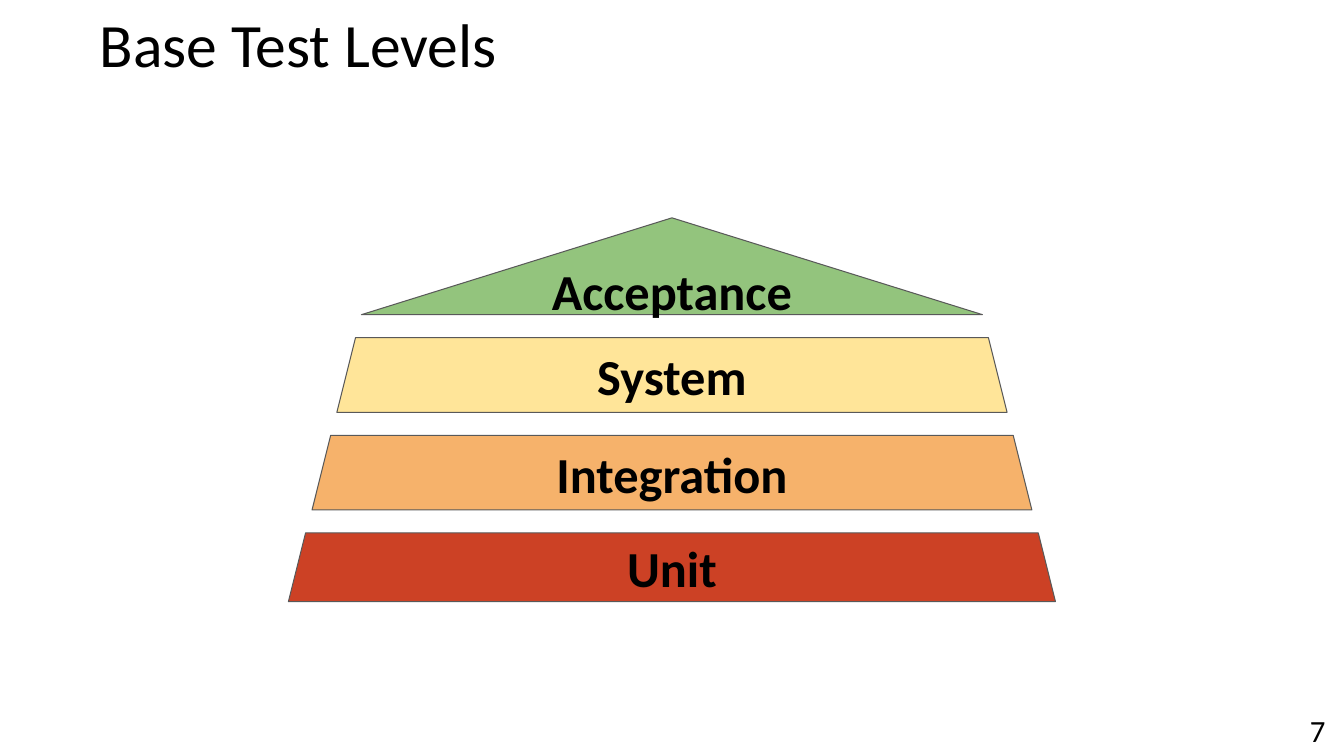
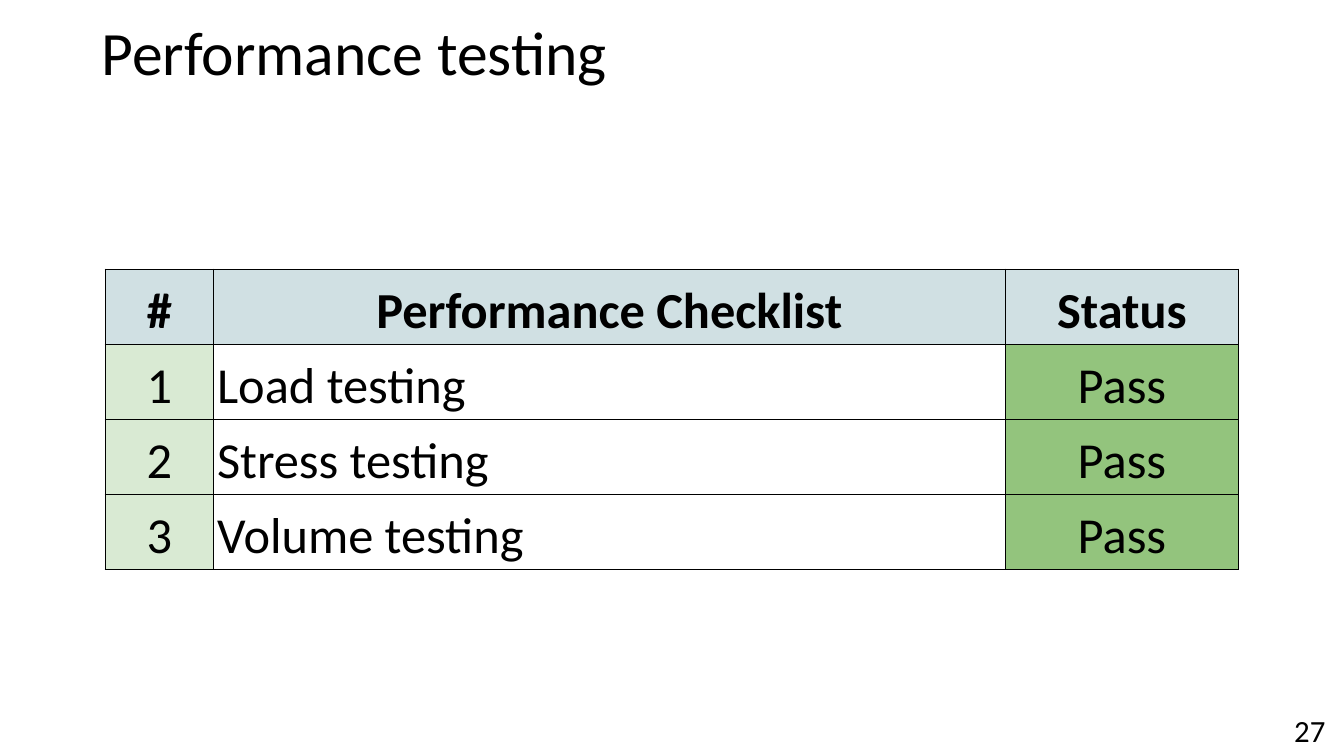
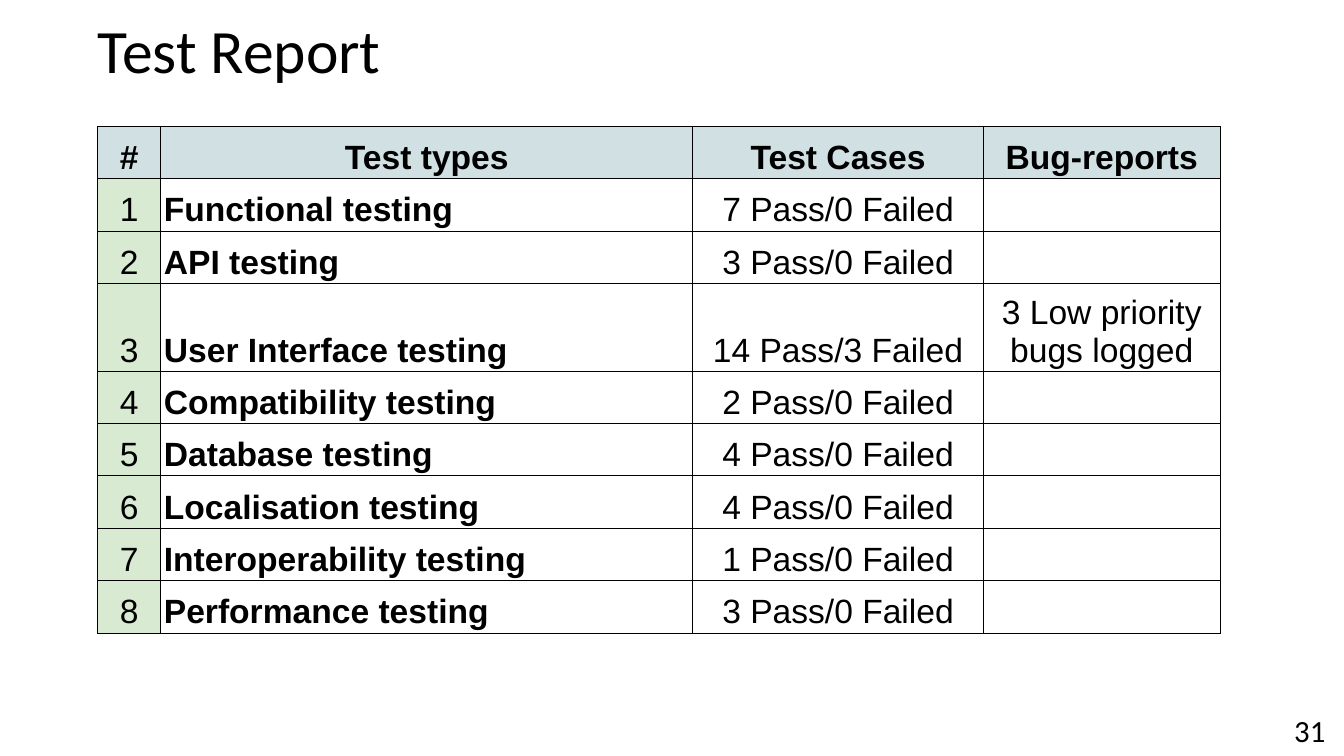
from lxml import etree
from pptx import Presentation
from pptx.dml.color import RGBColor
from pptx.enum.shapes import MSO_SHAPE as Preset
from pptx.enum.text import MSO_ANCHOR as Anchor, MSO_AUTO_SIZE as AutoSize, PP_ALIGN as Align
from pptx.oxml.ns import qn
from pptx.util import Cm, Pt

BLACK, OUTLINE = "000000", "595959"
GREEN, PALE_GREEN, PALE_BLUE = "93C47D", "D9EAD3", "D0E0E3"
SLIDE_WIDTH, SLIDE_HEIGHT = 33.87, 19.05

# From the top of the pyramid down: label, preset, fill, width, height
LEVELS = [
    ("Acceptance", Preset.ISOSCELES_TRIANGLE, GREEN, 15.65, 2.44),
    ("System", Preset.TRAPEZOID, "FFE599", 16.89, 1.88),
    ("Integration", Preset.TRAPEZOID, "F6B26B", 18.14, 1.88),
    ("Unit", Preset.TRAPEZOID, "CC4125", 19.33, 1.73),
]
PYRAMID_TOP, PYRAMID_GAP = 5.49, 0.58

# Columns: heading, width, alignment, bold, fill, line spacing
CHECK_COLUMNS = [
    ("#", 2.74, Align.CENTER, False, PALE_GREEN, 1.15),
    ("Performance Checklist", 19.94, Align.LEFT, False, None, 1.15),
    ("Status", 5.89, Align.CENTER, False, GREEN, 1.15),
]
CHECKS = [
    ("1", "Load testing", "Pass"),
    ("2", "Stress testing", "Pass"),
    ("3", "Volume testing", "Pass"),
]

REPORT_COLUMNS = [
    ("#", 1.59, Align.CENTER, False, PALE_GREEN, 1),
    ("Test types", 13.41, Align.LEFT, True, None, 1.15),
    ("Test Cases", 7.32, Align.CENTER, False, None, 1.15),
    ("Bug-reports", 5.97, Align.CENTER, False, None, 1),
]
REPORT = [
    ("1", "Functional testing", "7 Pass/0 Failed", ""),
    ("2", "API testing", "3 Pass/0 Failed", ""),
    ("3", "User Interface testing", "14 Pass/3 Failed", "3 Low priority bugs logged"),
    ("4", "Compatibility testing", "2 Pass/0 Failed", ""),
    ("5", "Database testing", "4 Pass/0 Failed", ""),
    ("6", "Localisation testing", "4 Pass/0 Failed", ""),
    ("7", "Interoperability testing", "1 Pass/0 Failed", ""),
    ("8", "Performance testing", "3 Pass/0 Failed", ""),
]
REPORT_HEIGHTS = [2.21 if row == 3 else 1.32 for row in range(len(REPORT) + 1)]


def rgb(value):
    return RGBColor.from_string(value)


def style(para, size, align, bold=None, font="Calibri", spacing=None):
    para.alignment = align
    para.line_spacing = spacing
    para.font.name, para.font.size, para.font.bold = font, Pt(size), bold
    para.font.color.rgb = rgb(BLACK)


def set_insets(frame, across, down):
    frame.margin_left = frame.margin_right = Cm(across)
    frame.margin_top = frame.margin_bottom = Cm(down)


def add_page_number(page, number):
    box = page.shapes.add_textbox(Cm(31.7), Cm(17.6), Cm(2.03), Cm(1.45))
    frame = box.text_frame
    frame.word_wrap = True
    frame.text = number
    set_insets(frame, 0.33, 0.33)
    style(frame.paragraphs[0], 22, Align.RIGHT)


def add_page(deck, heading, number, left, top, spacing=0.9):
    """Add a slide with its title and page number."""
    page = deck.slides.add_slide(deck.slide_layouts[5])
    title = page.shapes.title
    title.left, title.top, title.width, title.height = Cm(left), Cm(top), Cm(30), Cm(1.95)
    frame = title.text_frame
    frame.text = heading
    frame.auto_size = AutoSize.NONE
    frame.vertical_anchor = Anchor.MIDDLE
    set_insets(frame, 0, 0.13)
    style(frame.paragraphs[0], 44, Align.LEFT, spacing=spacing)
    add_page_number(page, number)
    return page


def add_pyramid(page):
    top = PYRAMID_TOP
    for label, preset, fill, width, height in LEVELS:
        level = page.shapes.add_shape(
            preset, Cm((SLIDE_WIDTH - width) / 2), Cm(top), Cm(width), Cm(height))
        level.shadow.inherit = False
        level.fill.solid()
        level.fill.fore_color.rgb = rgb(fill)
        level.line.color.rgb = rgb(OUTLINE)
        level.line.width = Pt(0.75)
        frame = level.text_frame
        frame.text = label
        frame.vertical_anchor = Anchor.MIDDLE
        set_insets(frame, 0.25, 0.25)
        style(frame.paragraphs[0], 36, Align.CENTER, True)
        top += height + PYRAMID_GAP


def add_borders(cell):
    properties = cell._tc.get_or_add_tcPr()
    for place, side in enumerate(("lnL", "lnR", "lnT", "lnB")):
        line = etree.Element(qn(f"a:{side}"), w=str(Pt(0.75)))
        fill = etree.SubElement(line, qn("a:solidFill"))
        etree.SubElement(fill, qn("a:srgbClr"), val=BLACK)
        properties.insert(place, line)


def fill_cell(cell, text, fill, size, align, bold, font, spacing):
    cell.text = text
    cell.vertical_anchor = Anchor.BOTTOM
    set_insets(cell, 0.08, 0.05)
    style(cell.text_frame.paragraphs[0], size, align, bold, font, spacing)
    if fill:
        cell.fill.solid()
        cell.fill.fore_color.rgb = rgb(fill)
    else:
        cell.fill.background()
    add_borders(cell)


def add_grid(page, columns, rows, heights, left, top, size, font):
    widths = [column[1] for column in columns]
    frame = page.shapes.add_table(
        len(heights), len(columns), Cm(left), Cm(top), Cm(sum(widths)), Cm(sum(heights)))
    table = frame.table
    table.first_row = table.horz_banding = False
    for row, height in zip(table.rows, heights):
        row.height = Cm(height)
    for col, (heading, width, align, bold, fill, spacing) in enumerate(columns):
        table.columns[col].width = Cm(width)
        fill_cell(table.cell(0, col), heading, PALE_BLUE, size, Align.CENTER, True, font, 1.15)
        for row, texts in enumerate(rows, 1):
            fill_cell(table.cell(row, col), texts[col], fill, size, align, bold, font, spacing)


def main():
    deck = Presentation()
    deck.slide_width, deck.slide_height = Cm(SLIDE_WIDTH), Cm(SLIDE_HEIGHT)

    add_pyramid(add_page(deck, "Base Test Levels", "7", 2.51, 0.33, spacing=0.73))

    page = add_page(deck, "Performance testing", "27", 2.56, 0.42)
    add_grid(page, CHECK_COLUMNS, CHECKS, [1.89] * 4, 2.65, 6.78, 36, "Calibri")

    page = add_page(deck, "Test Report", "31", 2.46, 0.37)
    add_grid(page, REPORT_COLUMNS, REPORT, REPORT_HEIGHTS, 2.46, 3.18, 24, "Arial")

    deck.save("out.pptx")


if __name__ == "__main__":
    main()
